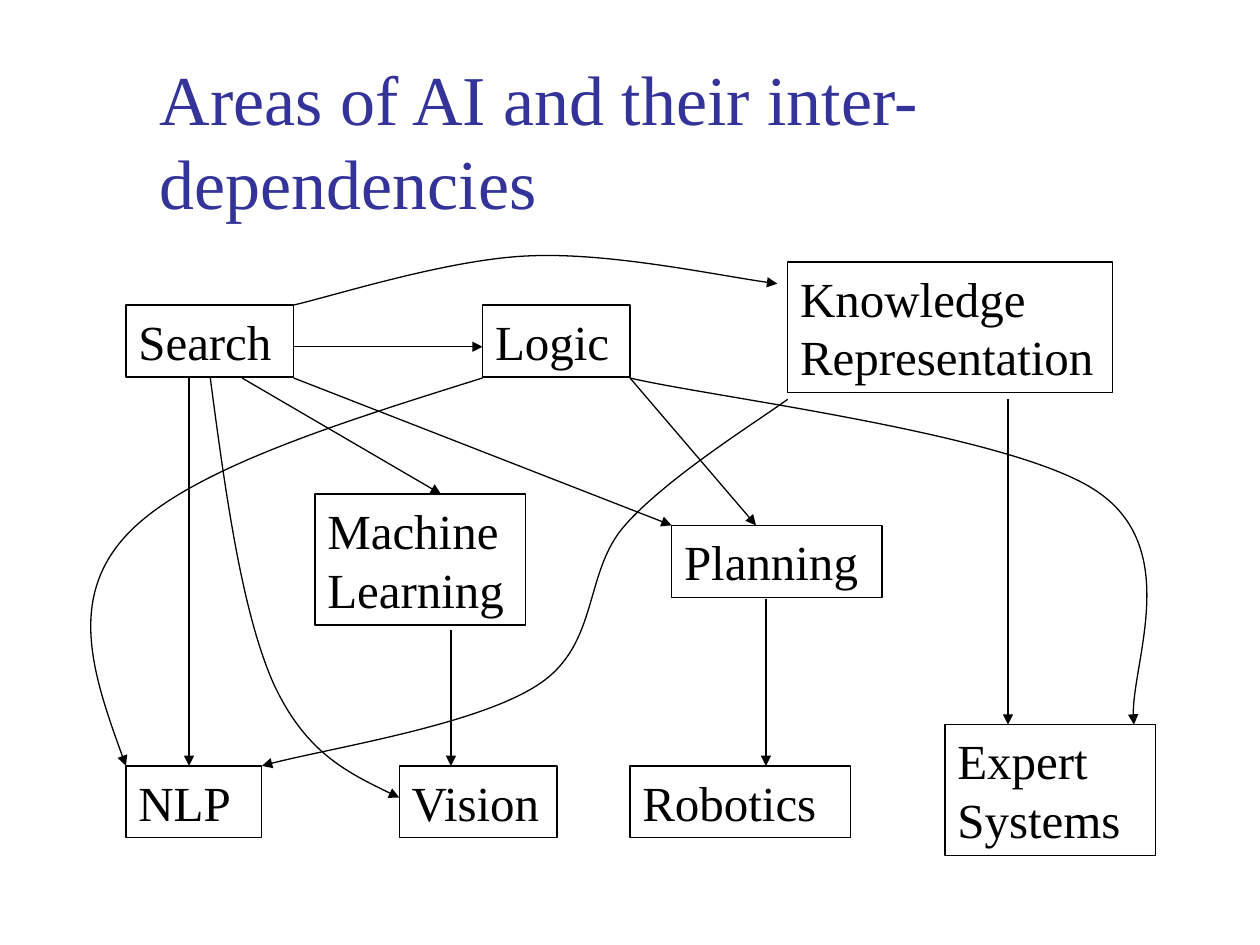
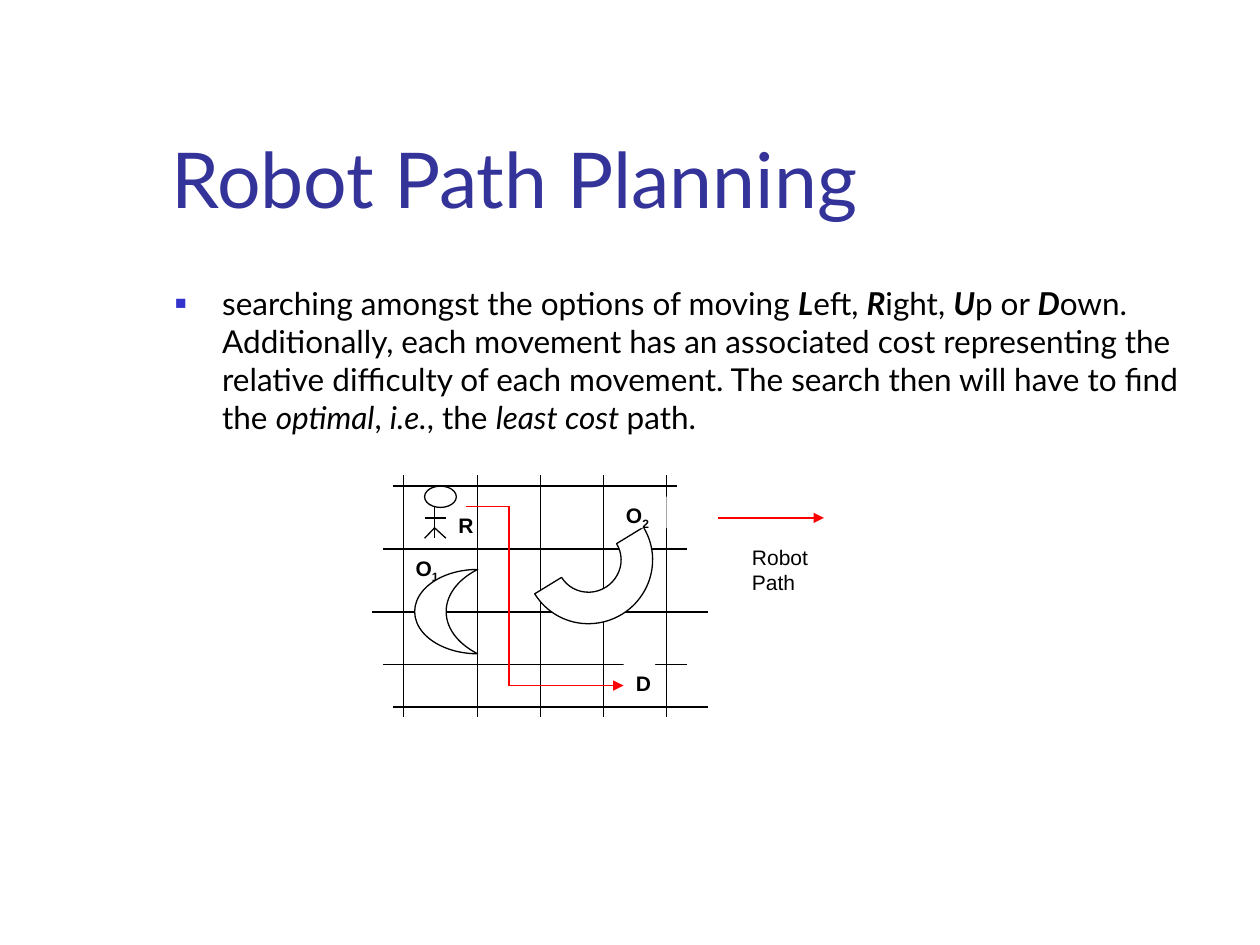
from lxml import etree
from pptx import Presentation
from pptx.dml.color import RGBColor
from pptx.enum.shapes import MSO_CONNECTOR, MSO_SHAPE
from pptx.enum.text import MSO_ANCHOR, MSO_AUTO_SIZE, PP_ALIGN
from pptx.oxml.ns import qn
from pptx.util import Cm, Pt

BLACK = RGBColor(0x00, 0x00, 0x00)
WHITE = RGBColor(0xFF, 0xFF, 0xFF)
RED = RGBColor(0xFF, 0x00, 0x00)
TITLE_BLUE = RGBColor(0x33, 0x33, 0x99)
BULLET_BLUE = "3333CC"

STRAIGHT = MSO_CONNECTOR.STRAIGHT
ELLIPSE, MOON, ARC = MSO_SHAPE.OVAL, MSO_SHAPE.MOON, MSO_SHAPE.BLOCK_ARC
TOP, BOTTOM = MSO_ANCHOR.TOP, MSO_ANCHOR.BOTTOM
LEFT = PP_ALIGN.LEFT
NO_FIT = MSO_AUTO_SIZE.NONE

SERIF, SANS, LABEL = "Times New Roman", "Lato", "Arial"
LINE_WIDTH = Pt(0.75)
ONE_LINE, TWO_LINES = 1.45, 2.64

AREAS = [
    ("Search", 2.54, 6.15, 3.38, ONE_LINE),
    ("Vision", 8.05, 15.44, 3.18, ONE_LINE),
    ("Planning", 13.54, 10.59, 4.24, ONE_LINE),
    ("Machine Learning", 6.35, 9.96, 4.24, TWO_LINES),
    ("Knowledge Representation", 15.88, 5.28, 6.55, TWO_LINES),
    ("Logic", 9.73, 6.15, 2.97, ONE_LINE),
    ("Expert Systems", 19.05, 14.61, 4.24, TWO_LINES),
    ("Robotics", 12.7, 15.44, 4.45, ONE_LINE),
    ("NLP", 2.54, 15.44, 2.74, ONE_LINE),
]
STRAIGHT_DEPENDENCIES = [
    (3.81, 7.62, 3.81, 15.44),
    (5.92, 6.99, 9.73, 6.99),
    (5.92, 7.62, 13.54, 10.59),
    (4.88, 7.62, 8.89, 9.96),
    (12.7, 7.62, 15.24, 10.59),
    (20.32, 8.05, 20.32, 14.61),
    (9.09, 12.7, 9.09, 15.44),
    (15.44, 12.07, 15.44, 15.44),
]
CURVED_DEPENDENCIES = [
    [(5.92, 6.15), (6.71, 5.97), (9.02, 5.23), (10.64, 5.16),
     (12.26, 5.08), (14.63, 5.59), (15.67, 5.72)],
    [(4.24, 7.62), (4.55, 9.98), (4.88, 12.34), (5.51, 13.77),
     (6.15, 15.16), (7.09, 15.62), (8.05, 16.08)],
    [(9.73, 7.62), (6.73, 8.56), (3.73, 9.5), (2.54, 10.8),
     (1.35, 12.09), (1.93, 13.77), (2.54, 15.44)],
    [(12.7, 7.62), (14.27, 8), (20.42, 8.74), (22.12, 9.91),
     (23.83, 11.07), (22.71, 13.61), (22.86, 14.61)],
    [(15.88, 8.05), (15.32, 8.46), (13.44, 9.63), (12.6, 10.59),
     (11.76, 11.53), (12.09, 12.98), (10.87, 13.79),
     (9.65, 14.61), (6.45, 15.11), (5.28, 15.44)],
]

SEARCH_TEXT = [
    ("searching amongst the options of moving ", ""),
    ("L", "bi"), ("eft, ", ""), ("R", "bi"), ("ight, ", ""),
    ("U", "bi"), ("p or ", ""), ("D", "bi"),
    ("own. Additionally, each movement has an associated cost representing "
     "the relative difficulty of each movement. The search then will have "
     "to find the ", ""),
    ("optimal", "i"), (", ", ""), ("i.e.", "i"), (", the ", ""),
    ("least cost ", "i"), ("path.", ""),
]
LABELS_UNDER_GRID = [
    ([("O", "b"), ("1", "bs")], 8.13, 11.07, 1.07, 0.64),
    ([("R", "b")], 8.99, 10.21, 0.84, 0.64),
]
LABELS_OVER_GRID = [
    ([("D", "b")], 12.57, 13.39, 0.64, 0.64),
    ([("O", "b"), ("2", "bs")], 12.37, 10.01, 1.07, 0.64),
    ([("Robot Path", "")], 14.91, 10.85, 2.54, 0.84),
]
GRID_TOP, GRID_BOTTOM = 9.58, 14.45
GRID_COLUMNS = [8.13] + [9.63 + 1.27 * step for step in range(4)]
GRID_ROWS = [(9.8, 7.92, 13.64), (11.07, 7.72, 13.84), (12.34, 7.49, 14.27),
             (13.39, 7.72, 13.84), (14.25, 7.92, 14.27)]
ROBOT_LIMBS = [
    (8.76, 10.21, 8.76, 10.85),
    (8.76, 10.44, 8.56, 10.44), (8.76, 10.44, 8.99, 10.44),
    (8.76, 10.64, 8.56, 10.85), (8.76, 10.64, 8.99, 10.85),
]
ROBOT_HEAD = (ELLIPSE, 8.56, 9.8, 0.64, 0.43, 0)
OBSTACLES = [(ARC, 10.59, 10.03, 2.57, 2.54, 148.5),
             (MOON, 8.36, 11.48, 1.27, 1.7, 0)]
PATH_STEPS = [
    (9.4, 10.21, 10.26, 10.21, False),
    (10.26, 10.21, 10.26, 13.82, False),
    (10.26, 13.82, 12.57, 13.82, True),
    (14.48, 10.44, 16.61, 10.44, True),
]


def write_text(frame, spans, font=SERIF, size=28, color=BLACK, anchor=TOP,
               bullet=False):
    frame.word_wrap = True
    frame.auto_size = NO_FIT
    frame.vertical_anchor = anchor
    para = frame.paragraphs[0]
    para.alignment = LEFT
    if bullet:
        add_bullet(para)
    for text, style in spans:
        span = para.add_run()
        span.text = text
        span.font.name = font
        span.font.size = Pt(size)
        span.font.color.rgb = color
        span.font.bold = "b" in style
        span.font.italic = "i" in style
        if "s" in style:
            span.font._element.set("baseline", "-25000")


def add_bullet(para):
    properties = para._p.get_or_add_pPr()
    indent = Cm(0.95)
    properties.set("marL", str(indent))
    properties.set("indent", str(-indent))
    color = etree.SubElement(properties, qn("a:buClr"))
    etree.SubElement(color, qn("a:srgbClr"), val=BULLET_BLUE)
    etree.SubElement(properties, qn("a:buSzPct"), val="60000")
    etree.SubElement(properties, qn("a:buFont"), typeface=LABEL)
    etree.SubElement(properties, qn("a:buChar"), char="■")


def add_page(deck, title, left, width, font, size):
    page = deck.slides.add_slide(deck.slide_layouts[5])
    box = page.shapes.title
    box.left, box.top, box.width, box.height = map(Cm, (left, 0.58, width, 4.06))
    write_text(box.text_frame, [(title, "")], font=font, size=size,
               color=TITLE_BLUE, anchor=BOTTOM)
    return page


def add_box(page, spans, left, top, width, height, fill=None, outline=None,
            **text_format):
    box = page.shapes.add_textbox(*map(Cm, (left, top, width, height)))
    if fill is not None:
        box.fill.solid()
        box.fill.fore_color.rgb = fill
    if outline is not None:
        style_line(box.line, outline)
    write_text(box.text_frame, spans, **text_format)


def style_line(line, color, arrow=False):
    line.color.rgb = color
    line.width = LINE_WIDTH
    if arrow:
        etree.SubElement(line._get_or_add_ln(), qn("a:tailEnd"), type="triangle")


def add_line(page, x1, y1, x2, y2, color=BLACK, arrow=False):
    connector = page.shapes.add_connector(STRAIGHT, *map(Cm, (x1, y1, x2, y2)))
    style_line(connector.line, color, arrow)
    etree.SubElement(connector._element.spPr, qn("a:effectLst"))


def add_curve(page, points):
    start, *rest = [(Cm(x), Cm(y)) for x, y in points]
    builder = page.shapes.build_freeform(*start)
    builder.add_line_segments(rest, close=False)
    curve = builder.convert_to_shape()
    curve.shadow.inherit = False
    curve.fill.background()
    style_line(curve.line, BLACK, arrow=True)
    outline = next(curve._element.iter(qn("a:path")))
    segments = outline.findall(qn("a:lnTo"))
    for first in range(0, len(segments), 3):
        bezier = etree.SubElement(outline, qn("a:cubicBezTo"))
        for segment in segments[first:first + 3]:
            bezier.append(segment[0])
            outline.remove(segment)


def add_figure(page, kind, left, top, width, height, rotation):
    figure = page.shapes.add_shape(kind, *map(Cm, (left, top, width, height)))
    figure.shadow.inherit = False
    figure.rotation = rotation
    figure.fill.solid()
    figure.fill.fore_color.rgb = WHITE
    style_line(figure.line, BLACK)


def add_labels(page, labels):
    for spans, *place in labels:
        add_box(page, spans, *place, fill=WHITE, font=LABEL, size=12)


def build_areas(deck):
    page = add_page(deck, "Areas of AI and their inter-dependencies",
                    2.97, 21.87, SERIF, 40)
    for name, *place in AREAS:
        add_box(page, [(name, "")], *place, outline=BLACK)
    for ends in STRAIGHT_DEPENDENCIES:
        add_line(page, *ends, arrow=True)
    for points in CURVED_DEPENDENCIES:
        add_curve(page, points)


def build_robot_path(deck):
    page = add_page(deck, "Robot Path Planning", 3.2, 21.64, SANS, 44)
    add_box(page, SEARCH_TEXT, 3.28, 5.61, 21.59, 11.43,
            font=SANS, size=18, bullet=True)
    add_labels(page, LABELS_UNDER_GRID)
    for x in GRID_COLUMNS:
        add_line(page, x, GRID_TOP, x, GRID_BOTTOM)
    for y, left, right in GRID_ROWS:
        add_line(page, left, y, right, y)
    add_figure(page, *ROBOT_HEAD)
    for limb in ROBOT_LIMBS:
        add_line(page, *limb)
    for obstacle in OBSTACLES:
        add_figure(page, *obstacle)
    add_labels(page, LABELS_OVER_GRID)
    for *ends, arrow in PATH_STEPS:
        add_line(page, *ends, color=RED, arrow=arrow)


def main():
    deck = Presentation()
    deck.slide_width, deck.slide_height = Cm(25.4), Cm(19.05)
    build_areas(deck)
    build_robot_path(deck)
    deck.save("out.pptx")


if __name__ == "__main__":
    main()
